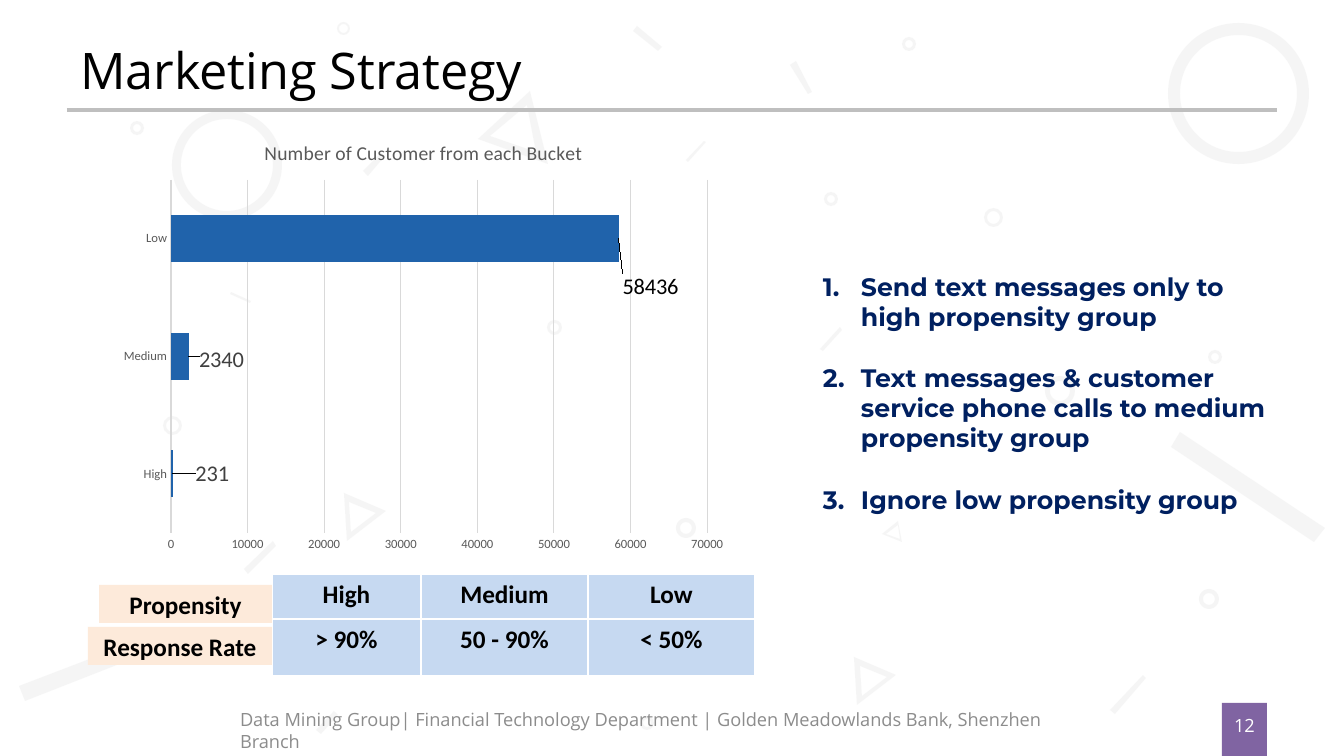
import pptx
import pptx.util
import pptx.chart.data
import pptx.dml.color
import pptx.enum.chart
import pptx.enum.shapes
import pptx.enum.text
import pptx.oxml
import pptx.oxml.ns

TITLE = "Marketing Strategy"
CHART_TITLE = "Number of Customer from each Bucket"
BUCKETS = ["High", "Medium", "Low"]
CUSTOMERS = [231, 2340, 58436]
LABEL_STYLES = [(0.03, 0, "404040"), (0.01, 0.01, "404040"), (0, 0.11, "000000")]
PLOT_AREA = (0.096, 0.132, 0.858, 0.806)
RATES = [["High", "Medium", "Low"], ["> 90%", "50 - 90%", "< 50%"]]
COLUMNS = [149, 167, 167]
ROWS = [45, 57]
ROW_NAMES = [("Propensity", 99, 585, 173), ("Response Rate", 88, 627, 184)]
ACTIONS = [
    "Send text messages only to high propensity group",
    "Text messages & customer service phone calls to medium propensity group",
    "Ignore low propensity group",
]
FOOTER = "Data Mining Group| Financial Technology Department | Golden Meadowlands Bank, Shenzhen Branch"
PAGE_NUMBER = "12"

RINGS = [
    (172, 110, 110, 9), (1045, 376, 30, 5), (1208, 350, 14, 3), (547, 320, 15, 3),
    (902, 37, 14, 3), (130, 121, 14, 3), (464, 617, 14, 3), (984, 208, 19, 3),
    (163, 416, 19, 3), (824, 192, 14, 3), (676, 518, 20, 4), (1199, 589, 20, 4),
    (337, 22, 13, 2), (1168, 23, 141, 12), (640, 716, 14, 3),
]
OUTLINES = [
    [[(478, 139), (530, 91), (548, 164)], [(490, 136), (536, 152), (527, 105)]],
    [[(882, 534), (898, 521), (902, 542)], [(886, 534), (900, 539), (898, 525)]],
    [[(344, 493), (386, 511), (347, 541)], [(349, 502), (351, 532), (376, 513)]],
    [[(854, 657), (896, 675), (857, 705)], [(860, 666), (862, 696), (887, 677)]],
    [[(1314, 542), (1171, 447), (1180, 432), (1325, 528)]],
    [[(25, 701), (19, 686), (168, 629), (173, 643)]],
    [[(808, 94), (790, 65), (796, 61), (812, 92)]],
    [[(250, 303), (230, 294), (231, 292), (251, 301)]],
    [[(658, 51), (633, 31), (637, 26), (662, 47)]],
    [[(688, 162), (686, 160), (704, 141), (706, 142)]],
    [[(248, 574), (244, 569), (273, 541), (276, 546)]],
    [[(823, 351), (820, 349), (840, 327), (842, 330)]],
    [[(1115, 714), (1110, 710), (1143, 675), (1146, 678)]],
    [[(368, 176), (363, 171), (381, 153), (385, 156)]],
    [[(321, 734), (316, 730), (334, 711), (338, 715)]],
]

SCALE = 914400 / 100.8
ANCHOR = pptx.enum.text.MSO_ANCHOR
ALIGN = pptx.enum.text.PP_ALIGN
PRESET = pptx.enum.shapes.MSO_SHAPE


def px(*lengths):
    return [pptx.util.Emu(round(length * SCALE)) for length in lengths]


def colour(value):
    return pptx.dml.color.RGBColor.from_string(value)


def xml(text):
    return pptx.oxml.parse_xml(text)


def paint(shape, value):
    shape.fill.solid()
    shape.fill.fore_color.rgb = colour(value)
    shape.line.fill.background()
    shape.shadow.inherit = False


def set_font(font, name, size, value, bold=False):
    font.name, font.size, font.bold = name, pptx.util.Pt(size), bold
    font.color.rgb = colour(value)


def write(para, text, name, size, value, bold=False, align=ALIGN.LEFT):
    para.alignment = align
    span = para.add_run()
    span.text = text
    set_font(span.font, name, size, value, bold)


def set_frame(shape, anchor, margins):
    frame = shape.text_frame
    frame.word_wrap = True
    frame.auto_size = pptx.enum.text.MSO_AUTO_SIZE.NONE
    frame.vertical_anchor = anchor
    frame.margin_left, frame.margin_top, frame.margin_right, frame.margin_bottom = px(*margins)
    return frame


def place(shape, *bounds):
    shape.left, shape.top, shape.width, shape.height = px(*bounds)


def manual_layout(**values):
    parts = "".join(f'<c:{key} val="{value}"/>' for key, value in values.items())
    return xml(f'<c:layout {pptx.oxml.ns.nsdecls("c")}><c:manualLayout>{parts}</c:manualLayout></c:layout>')


def draw_decoration(page):
    pieces = []
    for left, top, size, thickness in RINGS:
        ring = page.shapes.add_shape(PRESET.DONUT, *px(left, top, size, size))
        ring.adjustments[0] = thickness / size
        pieces.append(ring)
    for contours in OUTLINES:
        builder = page.shapes.build_freeform(*contours[0][0], scale=SCALE)
        builder.add_line_segments(contours[0][1:], close=True)
        for contour in contours[1:]:
            builder.move_to(*contour[0])
            builder.add_line_segments(contour[1:], close=True)
        pieces.append(builder.convert_to_shape())
    for piece in pieces:
        paint(piece, "F2F2F2")
        tint = piece.element.spPr.find(".//" + pptx.oxml.ns.qn("a:srgbClr"))
        tint.append(xml(f'<a:alpha {pptx.oxml.ns.nsdecls("a")} val="70000"/>'))


def draw_heading(page):
    rule = page.shapes.add_connector(pptx.enum.shapes.MSO_CONNECTOR.STRAIGHT, *px(67, 110, 1277, 110))
    rule.line.color.rgb = colour("BFBFBF")
    rule.line.width = pptx.util.Pt(3)
    rule.element.spPr.append(xml(f'<a:effectLst {pptx.oxml.ns.nsdecls("a")}/>'))
    title = page.shapes.title
    page.shapes.element.append(title.element)
    place(title, 67, 30, 1210, 79)
    frame = set_frame(title, ANCHOR.MIDDLE, (13, 7, 13, 7))
    write(frame.paragraphs[0], TITLE, "Open Sans", 36, "000000")


def draw_chart(page):
    data = pptx.chart.data.CategoryChartData()
    data.categories = BUCKETS
    data.add_series("Series 1", CUSTOMERS)
    kind = pptx.enum.chart.XL_CHART_TYPE.BAR_CLUSTERED
    chart = page.shapes.add_chart(kind, *px(111, 122, 625, 438), data).chart
    set_font(chart.font, "Calibri", 10, "000000")
    chart.has_legend = False
    chart.has_title = True
    write(chart.chart_title.text_frame.paragraphs[0], CHART_TITLE, "Calibri", 14, "595959", align=ALIGN.CENTER)
    chart.chart_title.include_in_layout = False
    for axis in (chart.category_axis, chart.value_axis):
        axis.major_tick_mark = axis.minor_tick_mark = pptx.enum.chart.XL_TICK_MARK.NONE
        axis.format.line.fill.background()
        set_font(axis.tick_labels.font, "Calibri", 9, "595959")
    values = chart.value_axis
    values.minimum_scale, values.maximum_scale, values.major_unit = 0, 70000, 10000
    values.has_major_gridlines = True
    values.major_gridlines.format.line.color.rgb = colour("D9D9D9")
    values.major_gridlines.format.line.width = pptx.util.Pt(0.75)
    plot = chart.plots[0]
    plot.gap_width = 150
    plot.vary_by_categories = False
    bars = plot.series[0]
    bars.format.fill.solid()
    bars.format.fill.fore_color.rgb = colour("2063AB")
    bars.data_labels.show_value = True
    for index, (across, down, value) in enumerate(LABEL_STYLES):
        label = bars.points[index].data_label
        set_font(label.font, "Calibri", 16, value)
        label.position = pptx.enum.chart.XL_LABEL_POSITION.OUTSIDE_END
        bars.data_labels._element.dLbl_lst[index].insert(1, manual_layout(x=across, y=down))
    area = chart.element.chart.plotArea
    for old in area.findall(pptx.oxml.ns.qn("c:layout")):
        area.remove(old)
    left, top, width, height = PLOT_AREA
    area.insert(0, manual_layout(layoutTarget="inner", xMode="edge", yMode="edge", x=left, y=top, w=width, h=height))


def draw_rates(page):
    bounds = px(272, 574, sum(COLUMNS), sum(ROWS))
    table = page.shapes.add_table(len(ROWS), len(COLUMNS), *bounds).table
    table.first_row = table.horz_banding = False
    for column, width in zip(table.columns, px(*COLUMNS)):
        column.width = width
    for row, height, texts in zip(table.rows, px(*ROWS), RATES):
        row.height = height
        for cell, text in zip(row.cells, texts):
            write(cell.text_frame.paragraphs[0], text, "Calibri", 18, "000000", True, ALIGN.CENTER)
            properties = cell._tc.get_or_add_tcPr()
            for side in ("lnL", "lnR", "lnT", "lnB"):
                properties.append(xml(f'<a:{side} {pptx.oxml.ns.nsdecls("a")} w="12700"><a:solidFill>'
                                      f'<a:srgbClr val="FFFFFF"/></a:solidFill></a:{side}>'))
            cell.fill.solid()
            cell.fill.fore_color.rgb = colour("C6D9F1")
    for text, left, top, width in ROW_NAMES:
        box = page.shapes.add_shape(PRESET.RECTANGLE, *px(left, top, width, 38))
        paint(box, "FDEADA")
        frame = set_frame(box, ANCHOR.MIDDLE, (10, 5, 10, 5))
        write(frame.paragraphs[0], text, "Calibri", 18, "000000", True, ALIGN.CENTER)


def draw_actions(page):
    body = page.placeholders[1]
    page.shapes.element.append(body.element)
    place(body, 813, 266, 464, 254)
    frame = set_frame(body, ANCHOR.TOP, (10, 5, 10, 5))
    indent = px(38)[0]
    for index, text in enumerate(ACTIONS):
        para = frame.add_paragraph() if index else frame.paragraphs[0]
        write(para, text, "Montserrat", 18, "002060", True)
        para.space_before = pptx.util.Pt(22 if index else 0)
        properties = para._p.get_or_add_pPr()
        properties.set("marL", str(indent))
        properties.set("indent", str(-indent))
        properties.append(xml(f'<a:buFont {pptx.oxml.ns.nsdecls("a")} typeface="+mj-lt"/>'))
        properties.append(xml(f'<a:buAutoNum {pptx.oxml.ns.nsdecls("a")} type="arabicPeriod"/>'))


def draw_footer(page):
    footer = page.shapes.add_textbox(*px(227, 710, 889, 40))
    frame = set_frame(footer, ANCHOR.MIDDLE, (13, 7, 13, 7))
    write(frame.paragraphs[0], FOOTER, "Open Sans", 13, "8C8C8C")
    badge = page.shapes.add_shape(PRESET.RECTANGLE, *px(1222, 703, 45, 53))
    paint(badge, "8064A2")
    frame = set_frame(badge, ANCHOR.TOP, (0, 11, 0, 7))
    write(frame.paragraphs[0], PAGE_NUMBER, "Open Sans", 13, "FFFFFF", align=ALIGN.CENTER)


def main():
    deck = pptx.Presentation()
    deck.slide_width, deck.slide_height = px(1344, 756)
    page = deck.slides.add_slide(deck.slide_layouts[1])
    for draw in (draw_decoration, draw_heading, draw_chart, draw_rates, draw_actions, draw_footer):
        draw(page)
    deck.save("out.pptx")


if __name__ == "__main__":
    main()
